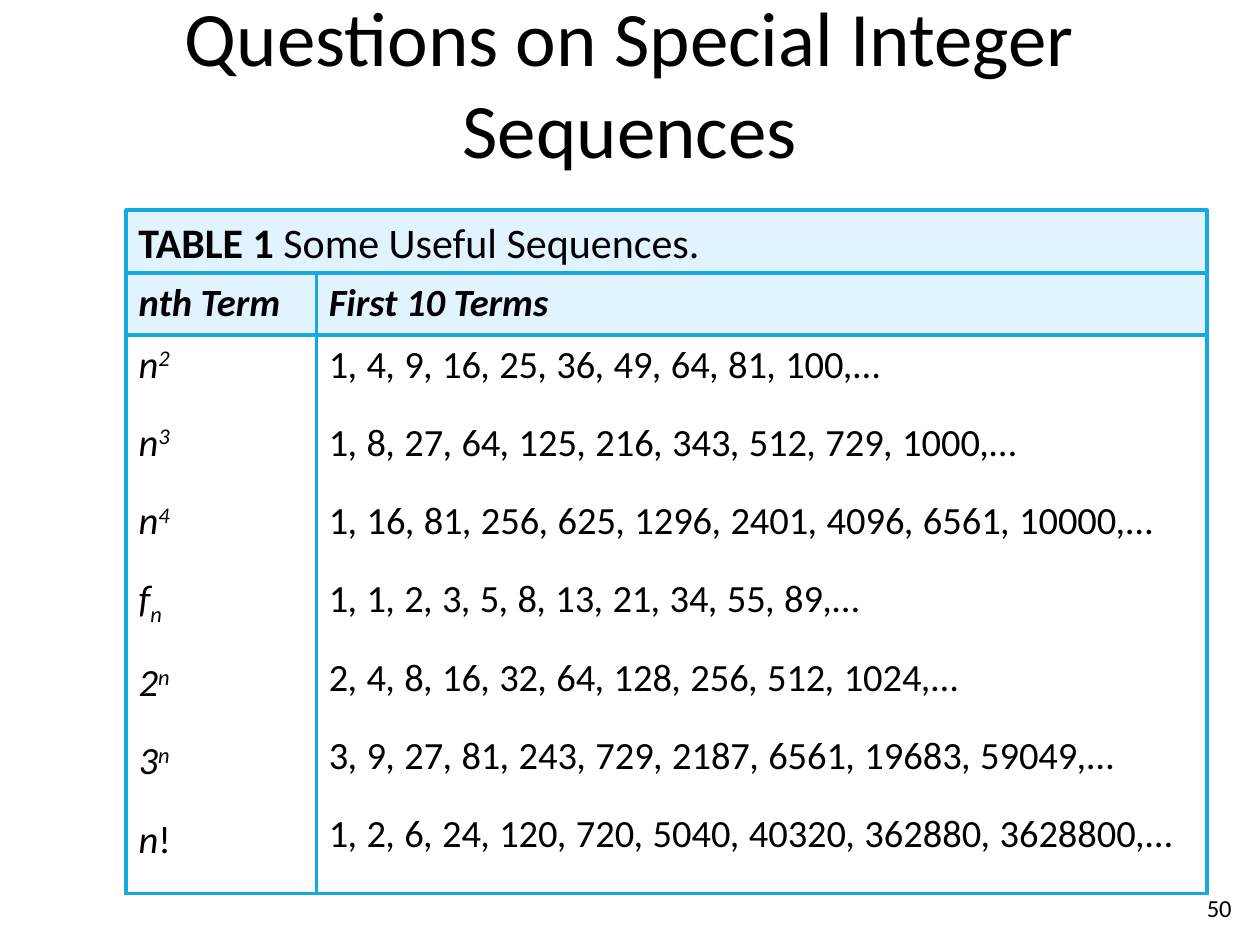
from dataclasses import dataclass

from lxml import etree
from pptx import Presentation
from pptx.dml.color import RGBColor
from pptx.enum.shapes import MSO_SHAPE
from pptx.enum.text import MSO_ANCHOR, PP_ALIGN
from pptx.oxml.ns import qn
from pptx.util import Inches, Pt

RECT = MSO_SHAPE.RECTANGLE
TOP, MIDDLE = MSO_ANCHOR.TOP, MSO_ANCHOR.MIDDLE
LEFT, CENTER = PP_ALIGN.LEFT, PP_ALIGN.CENTER


@dataclass(frozen=True)
class Theme:
    font: str = "Calibri"
    ink: str = "000000"
    pale: str = "E1F3FF"
    edge: str = "14AAE1"
    rule: float = 2.25
    title: int = 44
    head: int = 24
    body: int = 22
    page: int = 14
    before: int = 12
    after: int = 6


THEME = Theme()
WIDE, HIGH = 10, 7.5
SIDE, SPAN = 1, 8.58
CAP_TOP, CAP_HIGH = 1.67, 0.5
COLS = (1.51, 7.07)
ROWS = (0.49, 4.43)
SHIFT = {"^": 30000, "_": -25000}

# Each term is a base, a raised (^) or lowered (_) mark, and the first ten values.
TERMS = (
    ("n^2", "1, 4, 9, 16, 25, 36, 49, 64, 81, 100"),
    ("n^3", "1, 8, 27, 64, 125, 216, 343, 512, 729, 1000"),
    ("n^4", "1, 16, 81, 256, 625, 1296, 2401, 4096, 6561, 10000"),
    ("f_n", "1, 1, 2, 3, 5, 8, 13, 21, 34, 55, 89"),
    ("2^n", "2, 4, 8, 16, 32, 64, 128, 256, 512, 1024"),
    ("3^n", "3, 9, 27, 81, 243, 729, 2187, 6561, 19683, 59049"),
    ("n!", "1, 2, 6, 24, 120, 720, 5040, 40320, 362880, 3628800"),
)


def color(code):
    return RGBColor.from_string(code)


def add_run(para, text, size, bold=False, slant=False, shift=0):
    run = para.add_run()
    run.text = text
    font = run.font
    font.name, font.size = THEME.font, Pt(size)
    font.bold, font.italic = bold, slant
    font.color.rgb = color(THEME.ink)
    if shift:
        font._element.set("baseline", str(shift))


def add_text(slide, box, text, size, align=LEFT, anchor=TOP, wrap=True):
    frame = slide.shapes.add_textbox(*map(Inches, box)).text_frame
    frame.word_wrap = wrap
    frame.vertical_anchor = anchor
    para = frame.paragraphs[0]
    para.alignment = align
    add_run(para, text, size)


def add_caption(slide):
    box = (SIDE, CAP_TOP, SPAN, CAP_HIGH)
    shape = slide.shapes.add_shape(RECT, *map(Inches, box))
    shape.shadow.inherit = False
    shape.fill.solid()
    shape.fill.fore_color.rgb = color(THEME.pale)
    shape.line.color.rgb = color(THEME.edge)
    shape.line.width = Pt(THEME.rule)
    frame = shape.text_frame
    frame.word_wrap = True
    frame.vertical_anchor = TOP
    para = frame.paragraphs[0]
    para.alignment = LEFT
    para.space_after = Pt(THEME.after)
    add_run(para, "TABLE 1 ", THEME.head, bold=True)
    add_run(para, "Some Useful Sequences.", THEME.head)


def add_edges(cell):
    props = cell._tc.get_or_add_tcPr()
    for name in ("lnL", "lnR", "lnT", "lnB"):
        line = etree.SubElement(props, qn("a:" + name), w=str(Pt(THEME.rule)))
        fill = etree.SubElement(line, qn("a:solidFill"))
        etree.SubElement(fill, qn("a:srgbClr"), val=THEME.edge)


def write_term(para, term):
    base, mark = term[0], term[1:]
    add_run(para, base, THEME.body, slant=True)
    shift = SHIFT.get(mark[0], 0)
    text = mark[1:] if shift else mark
    add_run(para, text, THEME.body, slant=bool(shift), shift=shift)


def write_list(para, values):
    """Write upright numbers with slanted commas between them."""
    first, *rest = values.split(", ")
    add_run(para, first, THEME.body)
    for value in rest:
        add_run(para, ", ", THEME.body, slant=True)
        add_run(para, value, THEME.body)
    add_run(para, ",", THEME.body, slant=True)
    add_run(para, "…", THEME.body)


def fill_cell(cell, items, write):
    frame = cell.text_frame
    for index, item in enumerate(items):
        para = frame.add_paragraph() if index else frame.paragraphs[0]
        if index:
            para.space_before = Pt(THEME.before)
        para.space_after = Pt(THEME.after)
        write(para, item)


def add_grid(slide):
    box = (SIDE, CAP_TOP + CAP_HIGH, SPAN, sum(ROWS))
    table = slide.shapes.add_table(
        len(ROWS), len(COLS), *map(Inches, box)).table
    table.first_row = table.horz_banding = False
    for col, width in zip(table.columns, COLS):
        col.width = Inches(width)
    for row, height in zip(table.rows, ROWS):
        row.height = Inches(height)
    for cell in table.iter_cells():
        add_edges(cell)
        cell.fill.background()
    for col, label in enumerate(("nth Term", "First 10 Terms")):
        cell = table.cell(0, col)
        cell.fill.solid()
        cell.fill.fore_color.rgb = color(THEME.pale)
        para = cell.text_frame.paragraphs[0]
        add_run(para, label, THEME.body, bold=True, slant=True)
    names, lists = zip(*TERMS)
    fill_cell(table.cell(1, 0), names, write_term)
    fill_cell(table.cell(1, 1), lists, write_list)


def main():
    deck = Presentation()
    deck.slide_width, deck.slide_height = Inches(WIDE), Inches(HIGH)
    slide = deck.slides.add_slide(deck.slide_layouts[6])
    add_text(slide, (9.48, 7.04, 0.5, 0.34), "50", THEME.page, wrap=False)
    add_text(slide, (0, 0, WIDE, 1.3), "Questions on Special Integer Sequences",
             THEME.title, CENTER, MIDDLE)
    add_caption(slide)
    add_grid(slide)
    deck.save("out.pptx")


if __name__ == "__main__":
    main()
